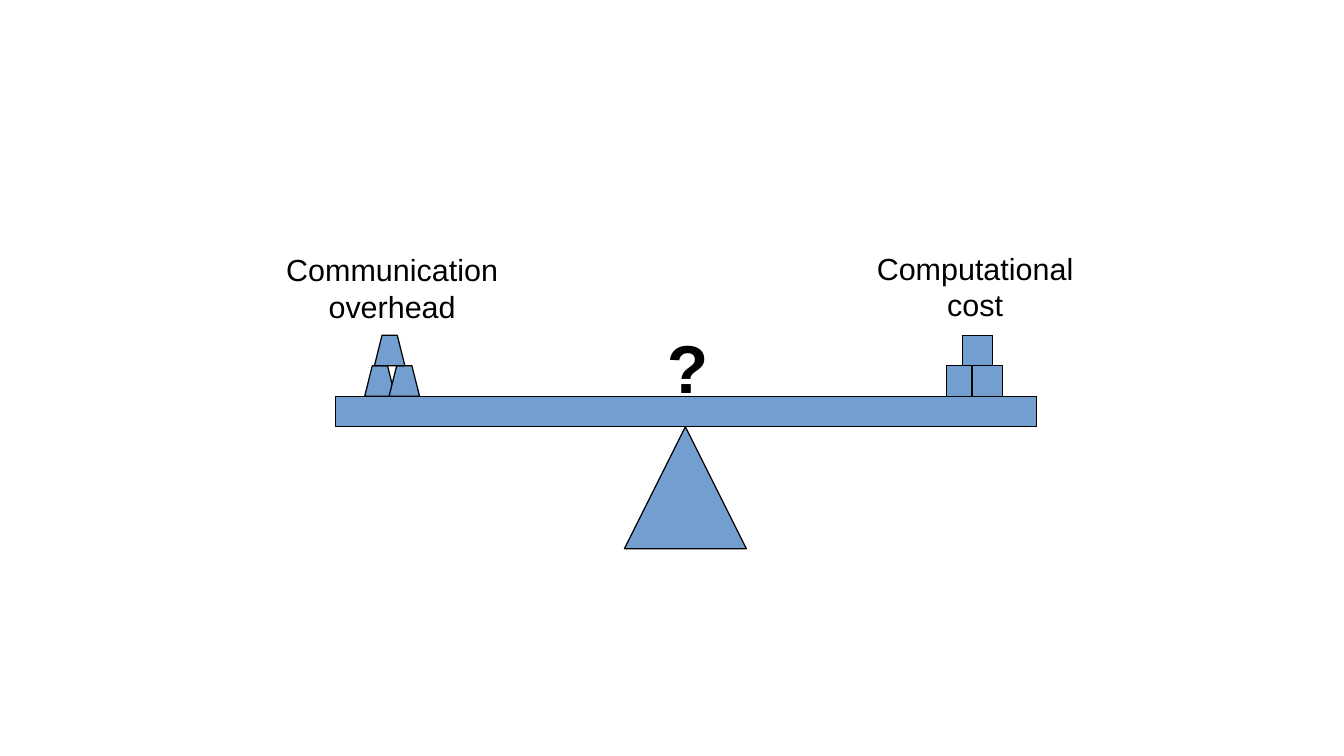
from pptx import Presentation
from pptx.dml.color import RGBColor
from pptx.enum import shapes, text
from pptx.util import Inches, Pt

BLUE = RGBColor(0x72, 0x9F, 0xCF)
BLACK = RGBColor(0, 0, 0)
BLOCK = 0.25


def add_part(parent, kind, left, top, width, height):
    part = parent.shapes.add_shape(
        kind, Inches(left), Inches(top), Inches(width), Inches(height))
    part.shadow.inherit = False
    part.fill.solid()
    part.fill.fore_color.rgb = BLUE
    part.line.color.rgb = BLACK
    part.line.width = Pt(0)


deck = Presentation()
deck.slide_width = Inches(11.02)
deck.slide_height = Inches(6.2)
page = deck.slides.add_slide(deck.slide_layouts[6])

# Beam and pivot
add_part(page, shapes.MSO_SHAPE.RECTANGLE, 2.75, 3.25, 5.75, 0.25)
add_part(page, shapes.MSO_SHAPE.ISOSCELES_TRIANGLE, 5.12, 3.5, 1, 1)

# Weights: two blocks on the beam and one on top of them
stacks = [
    (shapes.MSO_SHAPE.RECTANGLE, (7.76, 7.97, 7.89)),
    (shapes.MSO_SHAPE.TRAPEZOID, (2.99, 3.19, 3.07)),
]
for kind, lefts in stacks:
    stack = page.shapes.add_group_shape()
    for left, top in zip(lefts, (3, 3, 2.75)):
        add_part(stack, kind, left, top, BLOCK, BLOCK)

# Texts
labels = [
    ("?", 5.37, 2.62, 0.54, 0.72, 40, True),
    ("Communication overhead", 2.09, 2.01, 2.25, 0.66, 18, False),
    ("Computational cost", 6.87, 2, 2.25, 0.66, 18, False),
]
for wording, left, top, width, height, size, is_mark in labels:
    box = page.shapes.add_textbox(
        Inches(left), Inches(top), Inches(width), Inches(height))
    frame = box.text_frame
    frame.word_wrap = not is_mark
    frame.auto_size = text.MSO_AUTO_SIZE.SHAPE_TO_FIT_TEXT
    frame.text = wording
    para = frame.paragraphs[0]
    para.alignment = text.PP_ALIGN.LEFT if is_mark else text.PP_ALIGN.CENTER
    font = para.runs[0].font
    font.name = "Arial"
    font.size = Pt(size)
    font.bold = is_mark
    font.color.rgb = BLACK

deck.save("out.pptx")
